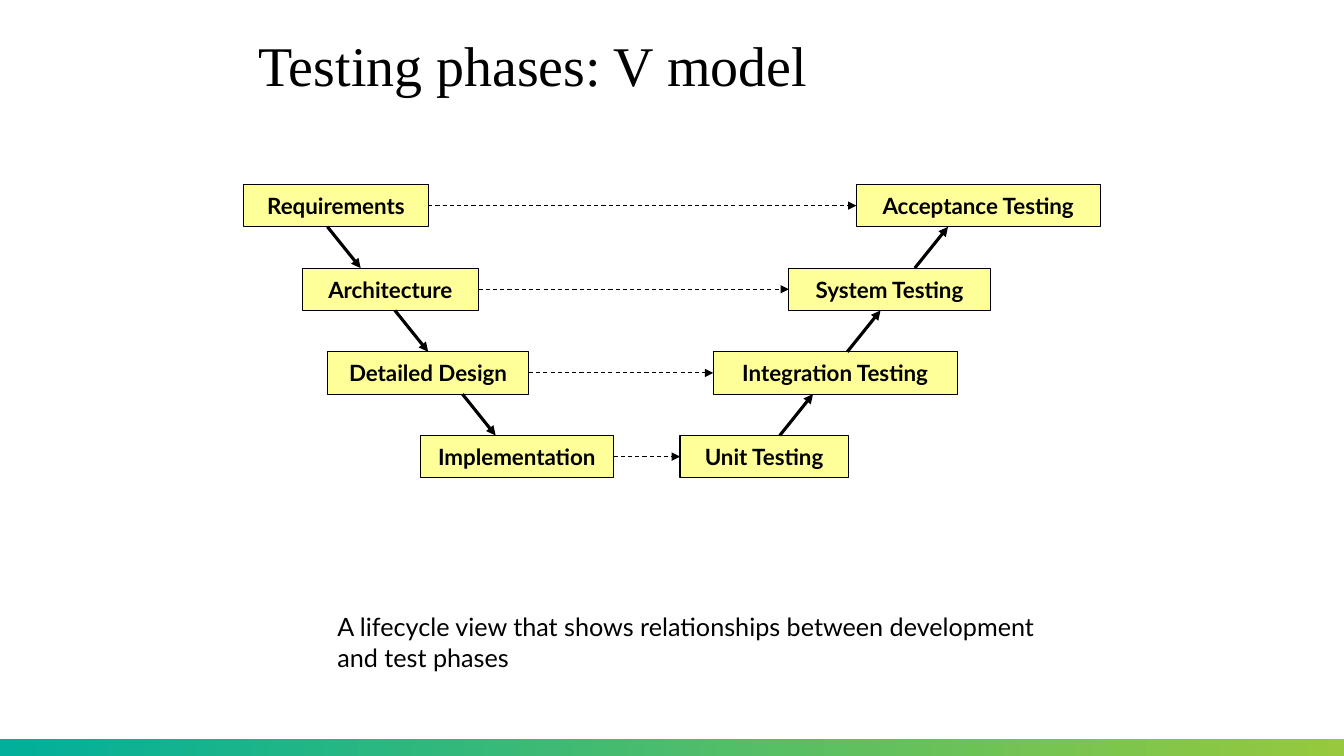
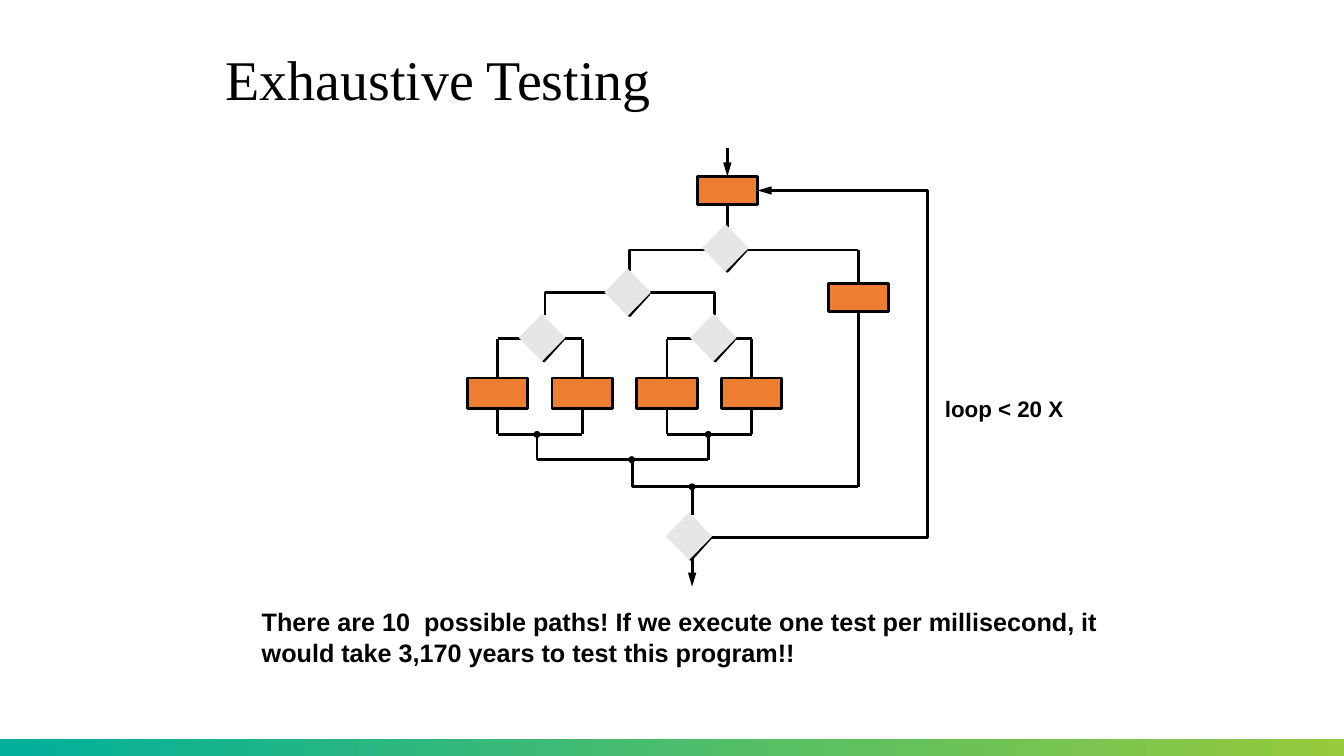
from lxml.etree import SubElement
from pptx import Presentation
from pptx.dml.color import RGBColor
from pptx.enum.dml import MSO_LINE
from pptx.enum.shapes import MSO_CONNECTOR, MSO_SHAPE
from pptx.enum.text import MSO_ANCHOR, PP_ALIGN
from pptx.oxml.ns import qn
from pptx.util import Inches, Pt

# Shared look
BLACK, YELLOW, ORANGE, GREY = "000000", "FFFF99", "ED7D31", "E7E6E6"
BAND_COLOURS = ("00B09B", "96C93D")
SLIDE_W, SLIDE_H, BAND_H = 13.34, 7.5, 0.17
TOP, LEFT, BOTTOM, RIGHT = range(4)

# V model: (text, left, width), one row per level
V_TITLE = "Testing phases: V model"
DEVELOPMENT = [
    ("Requirements", 2.42, 1.83),
    ("Architecture", 3, 1.75),
    ("Detailed Design", 3.25, 2),
    ("Implementation", 4.17, 1.92),
]
TESTING = [
    ("Acceptance Testing", 8.5, 2.42),
    ("System Testing", 7.83, 2),
    ("Integration Testing", 7.08, 2.42),
    ("Unit Testing", 6.75, 1.67),
]
V_CAPTION = "A lifecycle view that shows relationships between development and test phases"
V_TOP, ROW_PITCH, PHASE_H = 1.83, 0.83, 0.42
ARROW_PITCH, ARROW_RUN = 0.67, 0.33

# Exhaustive testing: flowchart measures
FLOW_TITLE = "Exhaustive Testing"
LOOP_LABEL = "loop < 20 X"
FLOW_CAPTION = ("There are 10  possible paths! If we execute one test per millisecond, "
                "it would take 3,170 years to test this program!!")
STEP_W, STEP_H = 0.6, 0.3
DECISION_W, DECISION_H = 0.46, 0.47
FIRST_STEP_X, STEP_PITCH, STEP_TOP = 4.94, 0.84, 3.75
FIRST_PAIR_X, PAIR_PITCH = 5.38, 1.7
PAIR_Y, PAIR_JOIN_Y, MERGE_Y, LOOP_Y = 3.36, 4.31, 4.56, 4.83


def colour(value):
    return RGBColor.from_string(value)


def write(frame, text, size=18, font="Lato", bold=False, align=PP_ALIGN.LEFT,
          anchor=MSO_ANCHOR.TOP, wrap=True, spacing=None):
    frame.word_wrap, frame.vertical_anchor = wrap, anchor
    paragraph = frame.paragraphs[0]
    paragraph.text, paragraph.alignment = text, align
    if spacing:
        paragraph.line_spacing = spacing
    face = paragraph.font
    face.name, face.size, face.bold = font, Pt(size), bold
    face.color.rgb = colour(BLACK)


def text_box(slide, at, text, **style):
    box = slide.shapes.add_textbox(*map(Inches, at))
    write(box.text_frame, text, **style)


def shape(slide, kind, at, fill=None, width=None):
    part = slide.shapes.add_shape(kind, *map(Inches, at))
    part.shadow.inherit = False
    if fill:
        part.fill.solid()
        part.fill.fore_color.rgb = colour(fill)
    else:
        part.fill.background()
    if width:
        part.line.color.rgb, part.line.width = colour(BLACK), Pt(width)
    else:
        part.line.fill.background()
    return part


def line(slide, start, end, width=2.0, head=None, dashed=False, begin=None, finish=None):
    """Straight line; head is (arrow width, arrow length), begin and finish are (shape, side)."""
    link = slide.shapes.add_connector(MSO_CONNECTOR.STRAIGHT, *map(Inches, (*start, *end)))
    link.line.color.rgb, link.line.width = colour(BLACK), Pt(width)
    if dashed:
        link.line.dash_style = MSO_LINE.DASH
    if head:
        SubElement(link.line._get_or_add_ln(), qn("a:tailEnd"),
                   type="triangle", w=head[0], len=head[1])
    SubElement(link._element.spPr, qn("a:effectLst"))
    if begin:
        link.begin_connect(*begin)
    if finish:
        link.end_connect(*finish)


def elbow(slide, *points):
    (x, y), *rest = [(Inches(px), Inches(py)) for px, py in points]
    outline = slide.shapes.build_freeform(x, y)
    outline.add_line_segments(rest, close=False)
    bend = outline.convert_to_shape()
    bend.shadow.inherit = False
    bend.fill.background()
    bend.line.color.rgb, bend.line.width = colour(BLACK), Pt(2)


def new_slide(deck, title, title_at):
    slide = deck.slides.add_slide(deck.slide_layouts[6])
    band = shape(slide, MSO_SHAPE.RECTANGLE, (0, SLIDE_H - BAND_H, SLIDE_W, BAND_H))
    band.fill.gradient()
    band.fill.gradient_angle = 0
    for stop, value in zip(band.fill.gradient_stops, BAND_COLOURS):
        stop.color.rgb = colour(value)
    text_box(slide, title_at, title, size=40, font="Times New Roman",
             anchor=MSO_ANCHOR.MIDDLE, spacing=0.9)
    return slide


def v_model(deck):
    slide = new_slide(deck, V_TITLE, (2.47, 0.21, 8.45, 0.93))

    def phase(row, text, left, width):
        box = shape(slide, MSO_SHAPE.RECTANGLE,
                    (left, V_TOP + row * ROW_PITCH, width, PHASE_H), YELLOW, 0.75)
        write(box.text_frame, text, size=16, bold=True, align=PP_ALIGN.CENTER,
              anchor=MSO_ANCHOR.MIDDLE, wrap=False)
        return box

    developed = [phase(row, *item) for row, item in enumerate(DEVELOPMENT)]
    tested = [phase(row, *item) for row, item in enumerate(TESTING)]

    # Each development phase points to its test phase
    for source, target in zip(developed, tested):
        line(slide, (0, 0), (0, 0), 0.75, ("med", "med"), dashed=True,
             begin=(source, RIGHT), finish=(target, LEFT))

    # Down the left side, up the right side
    for row in range(len(DEVELOPMENT) - 1):
        upper = V_TOP + row * ROW_PITCH + PHASE_H
        lower = V_TOP + (row + 1) * ROW_PITCH
        down_x = 3.25 + row * ARROW_PITCH
        up_x = 9.08 - row * ARROW_PITCH
        _, left, width = DEVELOPMENT[row + 1]
        centred = abs(down_x + ARROW_RUN - left - width / 2) < 0.02
        line(slide, (down_x, upper), (down_x + ARROW_RUN, lower), 2.25, ("med", "med"),
             finish=(developed[row + 1], TOP) if centred else None)
        line(slide, (up_x, lower), (up_x + ARROW_RUN, upper), 2.25, ("med", "med"))

    text_box(slide, (3.25, 6.02, 7.41, 0.7), V_CAPTION)


def exhaustive_testing(deck):
    slide = new_slide(deck, FLOW_TITLE, (2.14, 0.39, 9.05, 0.85))
    decisions = [(7.2, 2.46), (6.23, 2.9), (6.84, 5.32)]

    def step(x, top, height=STEP_H):
        return shape(slide, MSO_SHAPE.RECTANGLE,
                     (x - STEP_W / 2, top, STEP_W, height), ORANGE, 2)

    def dot(x, y):
        shape(slide, MSO_SHAPE.OVAL, (x - 0.02, y - 0.02, 0.04, 0.04), BLACK, 2)

    # Entry and first step
    first = step(7.22, 1.75, 0.28)
    line(slide, (7.22, 1.47), (7.22, 1.75), head=("med", "lg"), finish=(first, TOP))
    line(slide, (7.22, 2.03), (7.22, 2.25), begin=(first, BOTTOM))

    # Upper branches
    elbow(slide, (7.0, 2.48), (6.25, 2.48), (6.25, 2.69))
    elbow(slide, (6.06, 2.9), (5.41, 2.9), (5.41, 3.13))
    elbow(slide, (6.44, 2.9), (7.09, 2.9), (7.09, 3.13))

    # Bypass on the right
    bypass = step(8.52, 2.81, 0.28)
    line(slide, (7.42, 2.48), (8.52, 2.48))
    line(slide, (8.52, 2.48), (8.52, 2.81), finish=(bypass, TOP))
    line(slide, (8.52, 3.09), (8.52, LOOP_Y), begin=(bypass, BOTTOM))
    line(slide, (8.52, LOOP_Y), (6.87, LOOP_Y))

    # Two decisions, each with two steps that join again
    joins = []
    for pair in range(2):
        centre = FIRST_PAIR_X + pair * PAIR_PITCH
        join = centre - 0.05
        decisions.append((centre, PAIR_Y - 0.01))
        joins.append(join)
        step_xs = [FIRST_STEP_X + (2 * pair + side) * STEP_PITCH for side in range(2)]
        for x in step_xs:
            box = step(x, STEP_TOP)
            line(slide, (x, PAIR_Y), (x, STEP_TOP), finish=(box, TOP))
            line(slide, (x, STEP_TOP + STEP_H), (x, PAIR_JOIN_Y), begin=(box, BOTTOM))
        for y in (PAIR_Y, PAIR_JOIN_Y):
            line(slide, (step_xs[0], y), (step_xs[1], y))
        dot(join, PAIR_JOIN_Y)
        line(slide, (join, PAIR_JOIN_Y), (join, MERGE_Y))

    # Merge into the loop decision
    line(slide, (joins[0], MERGE_Y), (joins[1], MERGE_Y))
    dot(6.27, MERGE_Y)
    elbow(slide, (6.28, MERGE_Y), (6.28, LOOP_Y), (6.87, LOOP_Y))
    dot(6.87, LOOP_Y)
    line(slide, (6.87, LOOP_Y), (6.87, 5.11))
    line(slide, (6.87, 5.53), (6.87, 5.82), head=("med", "lg"))

    # Loop back to the first step
    elbow(slide, (7.06, 5.33), (9.21, 5.33), (9.21, 1.89))
    line(slide, (9.21, 1.89), (7.52, 1.89), head=("med", "lg"), finish=(first, RIGHT))
    text_box(slide, (9.28, 3.87, 1.38, 0.36), LOOP_LABEL, size=16, font="Arial",
             bold=True, wrap=False)

    # Decisions: a dark edge behind a grey diamond
    for x, y in decisions:
        shape(slide, MSO_SHAPE.DIAMOND, (x - 0.17, y - 0.19, 0.38, 0.42), width=2)
        shape(slide, MSO_SHAPE.DIAMOND,
              (x - DECISION_W / 2, y - DECISION_H / 2, DECISION_W, DECISION_H), GREY)

    text_box(slide, (2.5, 5.97, 8.7, 0.7), FLOW_CAPTION, font="Arial", bold=True)


def main():
    deck = Presentation()
    deck.slide_width, deck.slide_height = Inches(SLIDE_W), Inches(SLIDE_H)
    v_model(deck)
    exhaustive_testing(deck)
    deck.save("out.pptx")


if __name__ == "__main__":
    main()
